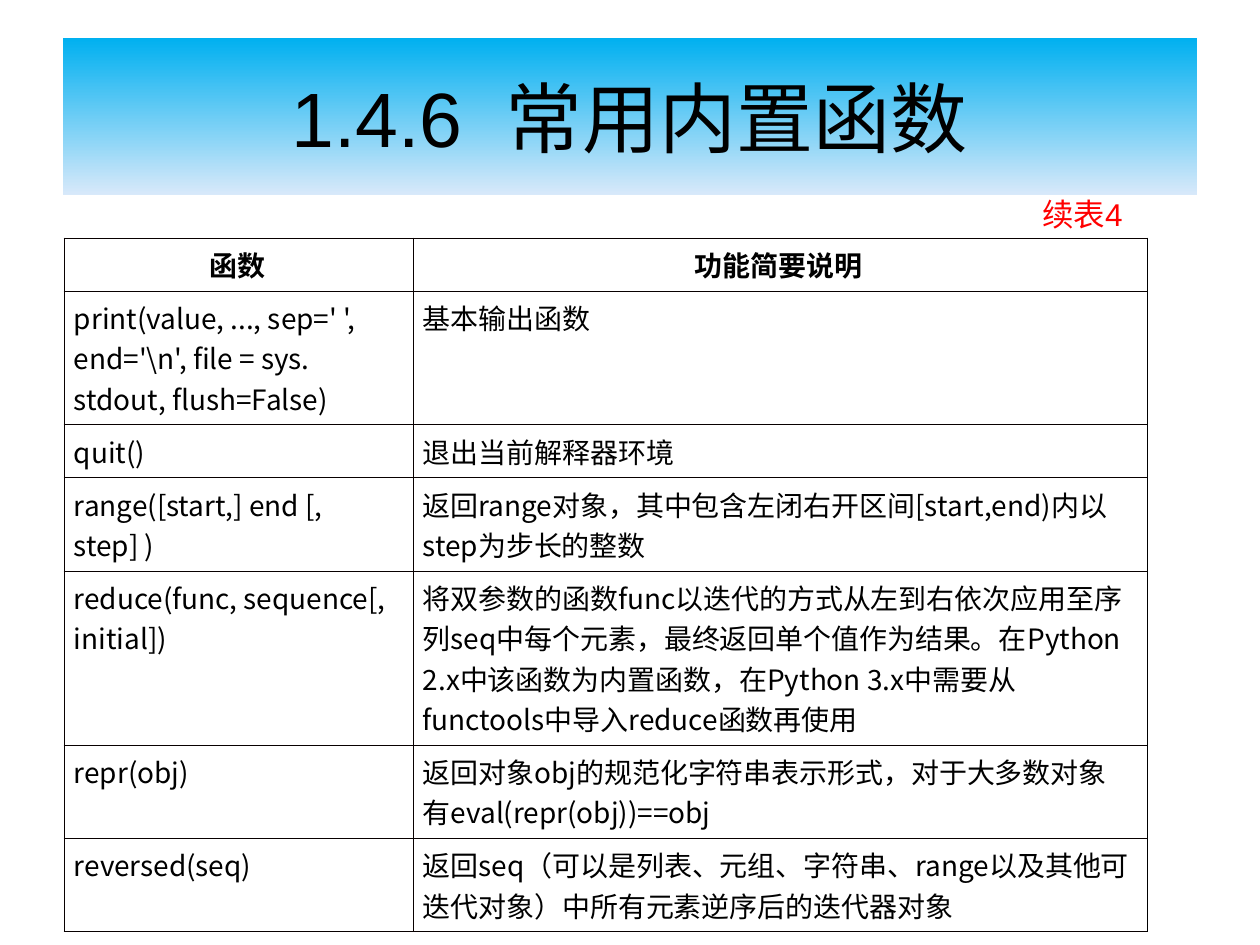
from lxml import etree
from pptx import Presentation
from pptx.dml.color import RGBColor
from pptx.enum.shapes import MSO_SHAPE
from pptx.enum.text import MSO_ANCHOR, PP_ALIGN
from pptx.oxml.ns import qn
from pptx.util import Pt

RECT = MSO_SHAPE.RECTANGLE
MIDDLE = MSO_ANCHOR.MIDDLE
LEFT, CENTER, RIGHT = PP_ALIGN.LEFT, PP_ALIGN.CENTER, PP_ALIGN.RIGHT
SCALE = 914400 / 126
HAN = "Noto Sans CJK SC"

COLS = [349, 734]
ROWS = [47, 117, 38, 77, 154, 77, 77]
CELLS = [
    ("函数", "功能简要说明"),
    ("print(value, ..., sep=' ', end='\\n', file = sys. stdout, flush=False)",
     "基本输出函数"),
    ("quit()", "退出当前解释器环境"),
    ("range([start,] end [, step] )",
     "返回range对象，其中包含左闭右开区间[start,end)内以step为步长的整数"),
    ("reduce(func, sequence[, initial])",
     "将双参数的函数func以迭代的方式从左到右依次应用至序列seq中每个元素，"
     "最终返回单个值作为结果。在Python 2.x中该函数为内置函数，"
     "在Python 3.x中需要从functools中导入reduce函数再使用"),
    ("repr(obj)",
     "返回对象obj的规范化字符串表示形式，对于大多数对象有eval(repr(obj))==obj"),
    ("reversed(seq)",
     "返回seq（可以是列表、元组、字符串、range以及其他可迭代对象）"
     "中所有元素逆序后的迭代器对象"),
]


def px(n):
    return round(n * SCALE)


def color(code):
    return RGBColor.from_string(code)


def write(frame, text, tint, align, **form):
    """Fill the frame with one paragraph, using form as font attributes."""
    frame.word_wrap = True
    para = frame.paragraphs[0]
    para.alignment = align
    run = para.add_run()
    run.text = text
    for key, value in form.items():
        setattr(run.font, key, value)
    run.font.color.rgb = color(tint)
    etree.SubElement(run.font._element, qn("a:ea"), typeface=HAN)


def border(cell, last):
    """Draw all four sides; the table's right edge is a little thinner."""
    props = cell._tc.get_or_add_tcPr()
    for side in "LRTB":
        thin = side == "R" and last
        line = etree.SubElement(props, qn("a:ln" + side),
                                w=str(Pt(0.34 if thin else 0.45)))
        fill = etree.SubElement(line, qn("a:solidFill"))
        etree.SubElement(fill, qn("a:srgbClr"),
                         val="000000" if thin else "080000")


def add_grid(slide, x, y):
    grid = slide.shapes.add_table(len(ROWS), len(COLS), px(x), px(y),
                                  px(sum(COLS)), px(sum(ROWS))).table
    grid.first_row = grid.horz_banding = False
    for col, width in zip(grid.columns, COLS):
        col.width = px(width)
    for r, (row, height) in enumerate(zip(grid.rows, ROWS)):
        row.height = px(height)
        for c, cell in enumerate(row.cells):
            border(cell, c == len(COLS) - 1)
            cell.fill.background()
            cell.margin_left = px(10)
            write(cell.text_frame, CELLS[r][c], "000000",
                  LEFT if r else CENTER, name=HAN, size=Pt(16), bold=r == 0)


def add_note(slide, x, y, w, h):
    box = slide.shapes.add_textbox(px(x), px(y), px(w), px(h))
    write(box.text_frame, "续表4", "FF0000", RIGHT, name="Arial", size=Pt(18))


def add_title(slide, x, y, w, h):
    bar = slide.shapes.add_shape(RECT, px(x), px(y), px(w), px(h))
    bar.shadow.inherit = False
    bar.line.fill.background()
    bar.fill.gradient()
    bar.fill.gradient_angle = 270
    for stop, place, code in zip(bar.fill.gradient_stops, (0, 1),
                                 ("00B0F0", "D8E9FA")):
        stop.position = place
        stop.color.rgb = color(code)
    bar.text_frame.vertical_anchor = MIDDLE
    write(bar.text_frame, "1.4.6  常用内置函数", "000000", CENTER,
          name="Arial", size=Pt(44))


def main():
    deck = Presentation()
    deck.slide_width, deck.slide_height = px(1260), px(945)
    slide = deck.slides.add_slide(deck.slide_layouts[6])
    add_grid(slide, 64, 238)
    add_note(slide, 954, 189, 181, 50)
    add_title(slide, 63, 38, 1134, 157)
    deck.save("out.pptx")


if __name__ == "__main__":
    main()
